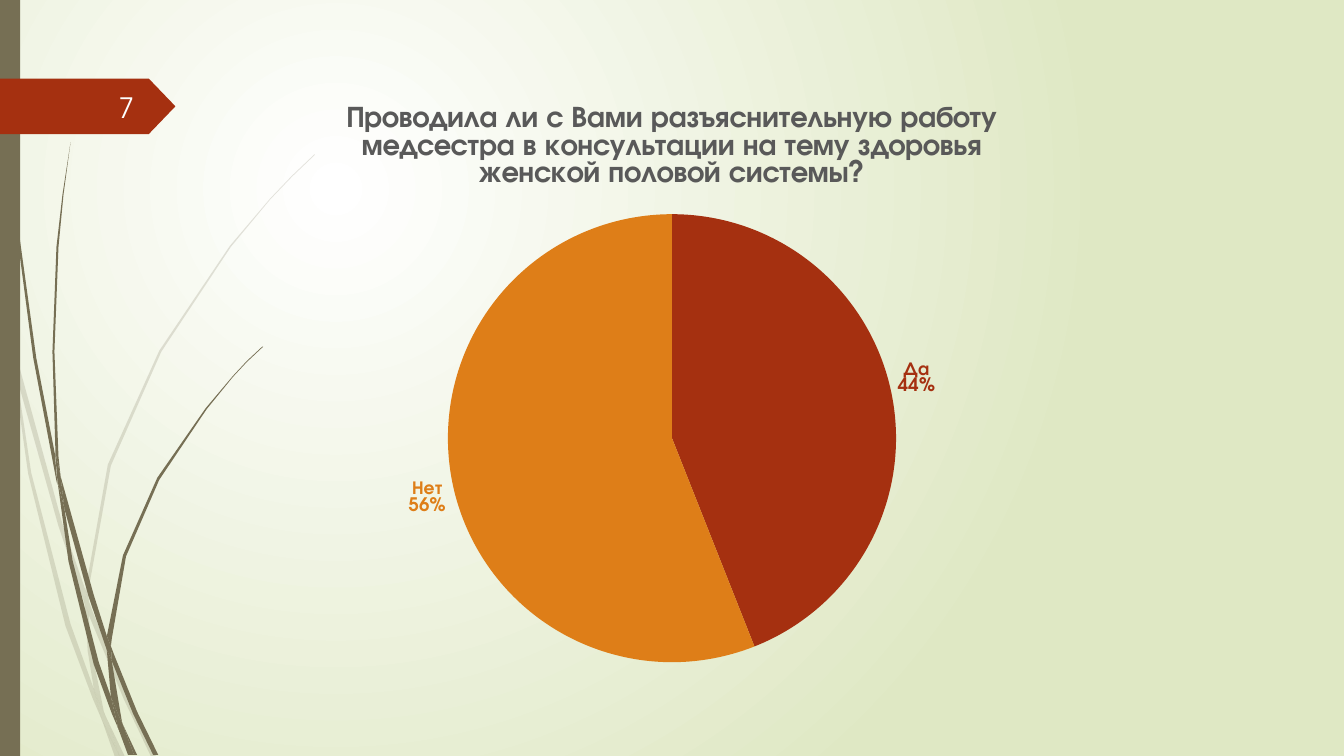
from lxml import etree
from pptx import Presentation
from pptx.chart.data import CategoryChartData
from pptx.dml.color import RGBColor
from pptx.enum.chart import XL_CHART_TYPE, XL_LABEL_POSITION
from pptx.enum.shapes import MSO_SHAPE
from pptx.enum.text import MSO_ANCHOR, PP_ALIGN
from pptx.oxml import parse_xml
from pptx.oxml.ns import nsdecls, qn
from pptx.util import Inches, Pt

PIE = XL_CHART_TYPE.PIE
OUTSIDE_END = XL_LABEL_POSITION.OUTSIDE_END
RECTANGLE, PENTAGON = MSO_SHAPE.RECTANGLE, MSO_SHAPE.PENTAGON
MIDDLE = MSO_ANCHOR.MIDDLE
RIGHT, CENTER = PP_ALIGN.RIGHT, PP_ALIGN.CENTER

FONT = "TeX Gyre Adventor"
WHITE = RGBColor(0xFF, 0xFF, 0xFF)
NUMBER_WHITE = RGBColor(0xFE, 0xFF, 0xFF)
PALE_GREEN = RGBColor(0xDF, 0xE8, 0xC4)
OLIVE = RGBColor(0x76, 0x6F, 0x54)
RED = RGBColor(0xA5, 0x30, 0x10)
ORANGE = RGBColor(0xDE, 0x7E, 0x18)
GREY = RGBColor(0x59, 0x59, 0x59)
BLACK = RGBColor(0, 0, 0)

QUESTION = ("Проводила ли с Вами разъяснительную работу медсестра в консультации "
            "на тему здоровья женской половой системы?")
ANSWERS = [("Да", 44, RED), ("Нет", 56, ORANGE)]

# Vertices of each blade section, in inches.
PALE_GRASS = [
    "0.11,3.5 0.09,3.22 0,2.82 0,2.99 0.1,3.44",
    "0.58,5.22 0.84,5.99 0.85,5.86 0.62,5.2 0.14,3.45 0.17,3.76",
    "0.92,6.07 0.88,5.96 0.88,6.1 1.23,6.94 1.5,7.51 1.55,7.51 1.27,6.92",
    "1.19,7.51 1.24,7.51 1.05,7.11",
    "0.93,6.83 0.7,6.19 0.31,4.69 0.17,3.76 0.11,3.5 0.28,4.7 0.65,6.21 0.92,6.93 "
    "1.01,7.14 0.99,7.07",
    "0.84,5.99 0.87,6.46 0.93,6.83 0.96,6.92 1.05,7.11 1.03,7.06 0.91,6.46 0.88,6.1 0.88,6.08",
    "0.88,5.84 1.1,4.62 1.6,3.49 2.29,2.45 2.68,1.98 2.9,1.75 3.12,1.54 3.12,1.53 "
    "2.89,1.75 2.68,1.97 2.28,2.44 1.58,3.48 1.07,4.61 0.85,5.84 0.85,5.86 0.88,5.96",
    "1.01,7.14 1.14,7.51 1.19,7.51",
    "0.88,6.08 0.88,6.1 0.88,5.96 0.85,5.86 0.84,5.99",
    "0.96,6.92 0.93,6.83 0.99,7.07 1.01,7.14 1.19,7.51 1.05,7.11",
]
DARK_GRASS = [
    "0.07,1.1 0.17,2.33 0.33,3.55 0.56,4.77 0.57,4.81 0.55,4.57 0.55,4.53 0.36,3.55 "
    "0.19,2.32 0.08,1.09 0.05,0.48 0.04,0 0.03,0 0.04,0.48",
    "0.88,5.92 1.06,6.45 1.06,6.31 0.93,5.9 0.6,4.72 0.64,5.05",
    "1.13,6.49 1.1,6.41 1.11,6.56 1.32,7.08 1.52,7.49 1.57,7.49 1.36,7.06",
    "1.1,6.91 0.98,6.57 0.72,5.56 0.64,5.05 0.57,4.77 0.68,5.57 0.93,6.59 1.11,7.08 "
    "1.17,7.22 1.16,7.17",
    "0.6,4.72 0.58,4.53 0.54,3.49 0.58,2.45 0.63,1.93 0.7,1.41 0.62,1.93 0.56,2.45 "
    "0.52,3.49 0.55,4.49",
    "1.33,7.49 1.36,7.49 1.22,7.19",
    "0.57,4.77 0.64,5.05 0.6,4.72 0.55,4.49 0.55,4.53",
    "1.11,6.33 1.25,5.52 1.58,4.76 2.05,4.06 2.31,3.74 2.45,3.59 2.61,3.44 2.6,3.44 "
    "2.45,3.58 2.31,3.73 2.04,4.05 1.56,4.74 1.22,5.51 1.06,6.31 1.1,6.41",
    "1.17,7.22 1.27,7.49 1.31,7.49",
    "1.06,6.45 1.1,6.91 1.16,7.06 1.22,7.19 1.21,7.16 1.11,6.56 1.09,6.51",
    "1.06,6.45 1.09,6.51 1.11,6.56 1.1,6.41 1.06,6.31",
    "1.16,7.06 1.1,6.91 1.16,7.17 1.17,7.22 1.3,7.49 1.33,7.49 1.22,7.19",
]


def write_text(frame, text, size, color, bold=False, align=CENTER):
    paragraph = frame.paragraphs[0]
    paragraph.alignment = align
    run = paragraph.add_run()
    run.text = text
    set_font(run.font, size, color, bold)


def set_font(font, size, color, bold=False):
    font.name, font.size, font.bold = FONT, Pt(size), bold
    font.color.rgb = color


def paint(shape, color):
    shape.shadow.inherit = False
    shape.fill.solid()
    shape.fill.fore_color.rgb = color
    shape.line.fill.background()


def add_grass(slide, left, top, outlines, opacity=100):
    blades = slide.shapes.add_group_shape().shapes
    for outline in outlines:
        pairs = [map(float, pair.split(",")) for pair in outline.split()]
        start, *rest = [(Inches(left + x), Inches(top + y)) for x, y in pairs]
        builder = blades.build_freeform(*start)
        builder.add_line_segments(rest, close=True)
        blade = builder.convert_to_shape()
        paint(blade, OLIVE)
        if opacity < 100:
            tint = blade.fill._xPr.find(".//" + qn("a:srgbClr"))
            etree.SubElement(tint, qn("a:alpha"), val=str(opacity * 1000))


def add_background(slide):
    fill = slide.background.fill
    fill.gradient()
    for stop, color in zip(fill.gradient_stops, (WHITE, PALE_GREEN)):
        stop.color.rgb = color
    linear = slide.background._cSld.find(".//" + qn("a:lin"))
    linear.getparent().replace(linear, parse_xml(
        f'<a:path {nsdecls("a")} path="circle">'
        '<a:fillToRect l="50000" t="50000" r="100000" b="100000"/></a:path>'))


def add_number_tag(slide, left, top, width, height, number):
    tag = slide.shapes.add_shape(PENTAGON, *map(Inches, (left, top, width, height)))
    tag.adjustments[0] = 0.48
    paint(tag, RED)
    box = slide.shapes.add_textbox(Inches(left + 0.58), Inches(top + 0.08),
                                   Inches(0.85), Inches(0.4))
    box.text_frame.word_wrap = True
    box.text_frame.vertical_anchor = MIDDLE
    write_text(box.text_frame, number, size=20, color=NUMBER_WHITE, align=RIGHT)


def add_answer_pie(slide, left, top, width, height):
    data = CategoryChartData()
    data.categories = [answer for answer, _, _ in ANSWERS]
    data.add_series(QUESTION, [share for _, share, _ in ANSWERS])
    chart = slide.shapes.add_chart(PIE, *map(Inches, (left, top, width, height)), data).chart
    set_font(chart.font, 10, BLACK)
    chart.has_legend = False
    chart.has_title = True
    write_text(chart.chart_title.text_frame, QUESTION, size=21.3, color=GREY, bold=True)
    chart.plots[0].vary_by_categories = True
    series = chart.plots[0].series[0]
    labels = series.data_labels
    labels.show_percentage = labels.show_category_name = True
    labels.show_value = False
    labels.position = OUTSIDE_END
    for i, (_, _, color) in enumerate(ANSWERS):
        point = series.points[i]
        point.format.fill.solid()
        point.format.fill.fore_color.rgb = color
        point.format.line.fill.background()
        set_font(point.data_label.font, 13.3, color, bold=True)
        point.data_label.position = OUTSIDE_END
    for label in series._element.iter(qn("c:dLbl")):
        for tag, shown in (("showVal", "0"), ("showCatName", "1"), ("showPercent", "1")):
            label.find(qn("c:" + tag)).set("val", shown)
        etree.SubElement(label, qn("c:separator")).text = "\n"
    place_plot(chart, x=0.25, y=0.22, w=0.5, h=0.76)


def place_plot(chart, **fractions):
    """Fix the inner plot area as fractions of the chart."""
    plot_area = chart._chartSpace.find(".//" + qn("c:plotArea"))
    for automatic in plot_area.findall(qn("c:layout")):
        plot_area.remove(automatic)
    sizes = "".join(f'<c:{key} val="{value}"/>' for key, value in fractions.items())
    plot_area.insert(0, parse_xml(
        f'<c:layout {nsdecls("c")}><c:manualLayout><c:layoutTarget val="inner"/>'
        f'<c:xMode val="edge"/><c:yMode val="edge"/>{sizes}</c:manualLayout></c:layout>'))


def main():
    deck = Presentation()
    deck.slide_width, deck.slide_height = Inches(13.33), Inches(7.5)
    slide = deck.slides.add_slide(deck.slide_layouts[6])
    add_background(slide)
    add_grass(slide, 0, 0, PALE_GRASS, opacity=20)
    add_grass(slide, 0, 0, DARK_GRASS)
    side_bar = slide.shapes.add_shape(RECTANGLE, 0, 0, Inches(0.2), Inches(7.5))
    paint(side_bar, OLIVE)
    add_number_tag(slide, 0, 0.78, 1.74, 0.55, "7")
    add_answer_pie(slide, 2.22, 0.79, 8.89, 5.93)
    deck.save("out.pptx")


if __name__ == "__main__":
    main()
